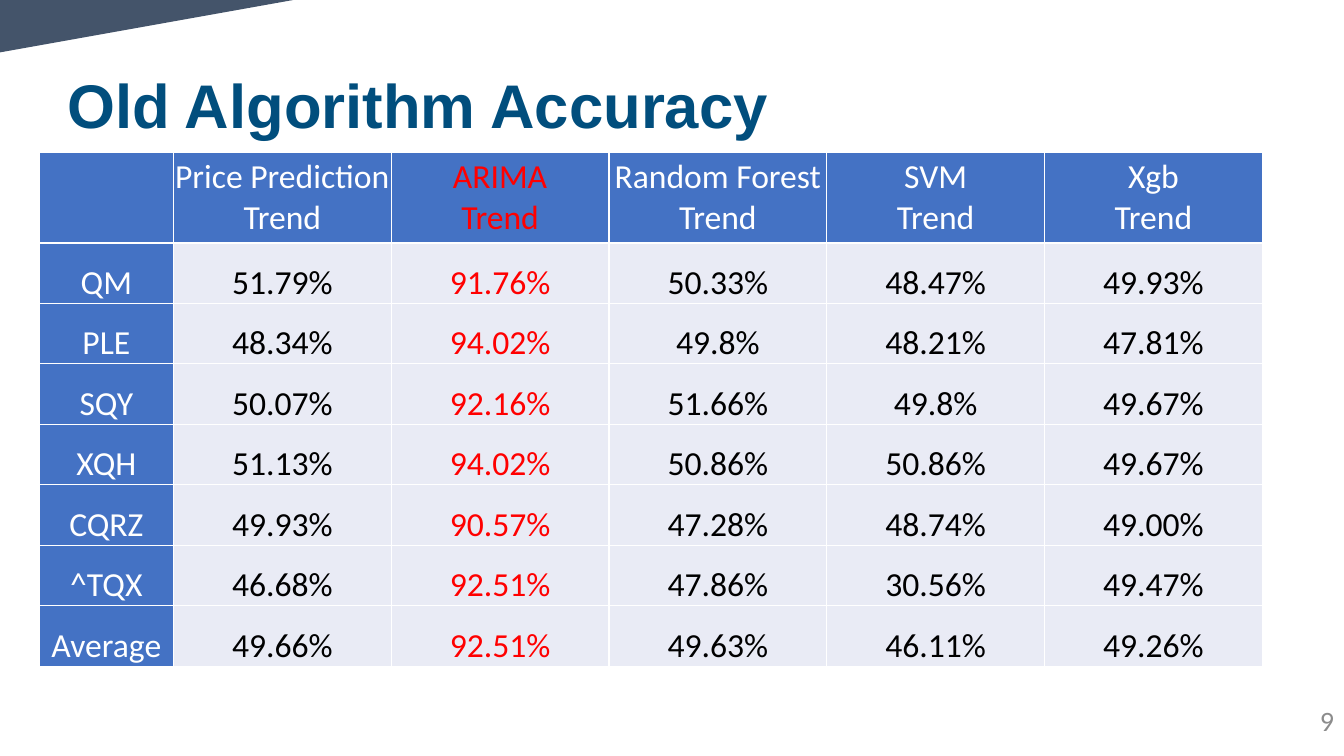
from lxml.etree import SubElement
from pptx import Presentation
from pptx.dml.color import RGBColor
from pptx.enum.shapes import MSO_SHAPE
from pptx.enum.text import MSO_ANCHOR, MSO_AUTO_SIZE, PP_ALIGN
from pptx.oxml.ns import qn
from pptx.util import Inches, Pt

COLORS = {
    "corner": "44546A", "title": "014E7D", "header": "4472C4", "body": "E9EBF5",
    "white": "FFFFFF", "black": "000000", "best": "FF0000", "number": "8C8C8C",
}
BEST_COLUMN = 2
COLUMN_WIDTHS = [1.33] + [2.16] * 5
ROW_HEIGHTS = [0.9] + [0.6] * 7
ACCURACY = [
    ["", "Price Prediction\nTrend", "ARIMA\nTrend", "Random Forest\nTrend", "SVM\nTrend", "Xgb\nTrend"],
    ["QM", "51.79%", "91.76%", "50.33%", "48.47%", "49.93%"],
    ["PLE", "48.34%", "94.02%", "49.8%", "48.21%", "47.81%"],
    ["SQY", "50.07%", "92.16%", "51.66%", "49.8%", "49.67%"],
    ["XQH", "51.13%", "94.02%", "50.86%", "50.86%", "49.67%"],
    ["CQRZ", "49.93%", "90.57%", "47.28%", "48.74%", "49.00%"],
    ["^TQX", "46.68%", "92.51%", "47.86%", "30.56%", "49.47%"],
    ["Average", "49.66%", "92.51%", "49.63%", "46.11%", "49.26%"],
]


def color(name):
    return RGBColor.from_string(COLORS[name])


def format_text(frame, font_name, size, color_name, align, bold=False):
    for para in frame.paragraphs:
        para.alignment = align
        para.font.name = font_name
        para.font.size = Pt(size)
        para.font.bold = bold
        para.font.color.rgb = color(color_name)


def place(shape, left, top, width, height):
    shape.left, shape.top = Inches(left), Inches(top)
    shape.width, shape.height = Inches(width), Inches(height)


def add_corner(page):
    corner = page.shapes.add_shape(
        MSO_SHAPE.RIGHT_TRIANGLE, 0, 0, Inches(2.91), Inches(0.52))
    corner.shadow.inherit = False
    corner.fill.solid()
    corner.fill.fore_color.rgb = color("corner")
    corner.line.fill.background()
    corner._element.spPr.get_or_add_xfrm().set("flipV", "1")


def set_title(page, text):
    title = page.shapes.title
    place(title, 0.57, 0.7, 8.03, 0.76)
    frame = title.text_frame
    frame.text = text
    frame.auto_size = MSO_AUTO_SIZE.NONE
    frame.vertical_anchor = MSO_ANCHOR.BOTTOM
    frame.paragraphs[0].line_spacing = 0.9
    format_text(frame, "Arial", 44, "title", PP_ALIGN.LEFT, bold=True)


def add_borders(cell):
    properties = cell._tc.get_or_add_tcPr()
    for position, side in enumerate(("lnL", "lnR", "lnT", "lnB")):
        line = SubElement(properties, qn(f"a:{side}"), w=str(Pt(1)))
        fill = SubElement(line, qn("a:solidFill"))
        SubElement(fill, qn("a:srgbClr"), val=COLORS["white"])
        properties.insert(position, line)


def format_cell(cell, text, row, column):
    is_header = row == 0 or column == 0
    cell.text = text
    cell.margin_left = cell.margin_right = cell.margin_top = Inches(0.01)
    cell.margin_bottom = 0
    cell.vertical_anchor = MSO_ANCHOR.MIDDLE if row == 0 else MSO_ANCHOR.BOTTOM
    cell.fill.solid()
    cell.fill.fore_color.rgb = color("header" if is_header else "body")
    text_color = "best" if column == BEST_COLUMN else "white" if is_header else "black"
    format_text(cell.text_frame, "Calibri", 24, text_color, PP_ALIGN.CENTER)
    add_borders(cell)


def add_accuracy_table(page):
    table = page.shapes.add_table(
        len(ROW_HEIGHTS), len(COLUMN_WIDTHS), Inches(0.39), Inches(1.51),
        Inches(sum(COLUMN_WIDTHS)), Inches(sum(ROW_HEIGHTS))).table
    table.horz_banding = False
    table.first_col = True
    for column, width in zip(table.columns, COLUMN_WIDTHS):
        column.width = Inches(width)
    for row, height in zip(table.rows, ROW_HEIGHTS):
        row.height = Inches(height)
    for row, texts in enumerate(ACCURACY):
        for column, text in enumerate(texts):
            format_cell(table.cell(row, column), text, row, column)


def add_page_number(page, number):
    box = page.shapes.add_textbox(0, 0, 0, 0)
    place(box, 12.52, 6.95, 0.81, 0.4)
    frame = box.text_frame
    frame.word_wrap = True
    frame.vertical_anchor = MSO_ANCHOR.MIDDLE
    frame.text = number
    format_text(frame, "Calibri", 20, "number", PP_ALIGN.RIGHT)


def main():
    deck = Presentation()
    deck.slide_width, deck.slide_height = Inches(13.33), Inches(7.5)
    page = deck.slides.add_slide(deck.slide_layouts.get_by_name("Title Only"))

    # Corner decoration and title
    add_corner(page)
    set_title(page, "Old Algorithm Accuracy")

    # Accuracy per ticker and algorithm
    add_accuracy_table(page)

    # Page number
    add_page_number(page, "9")
    deck.save("out.pptx")


main()
